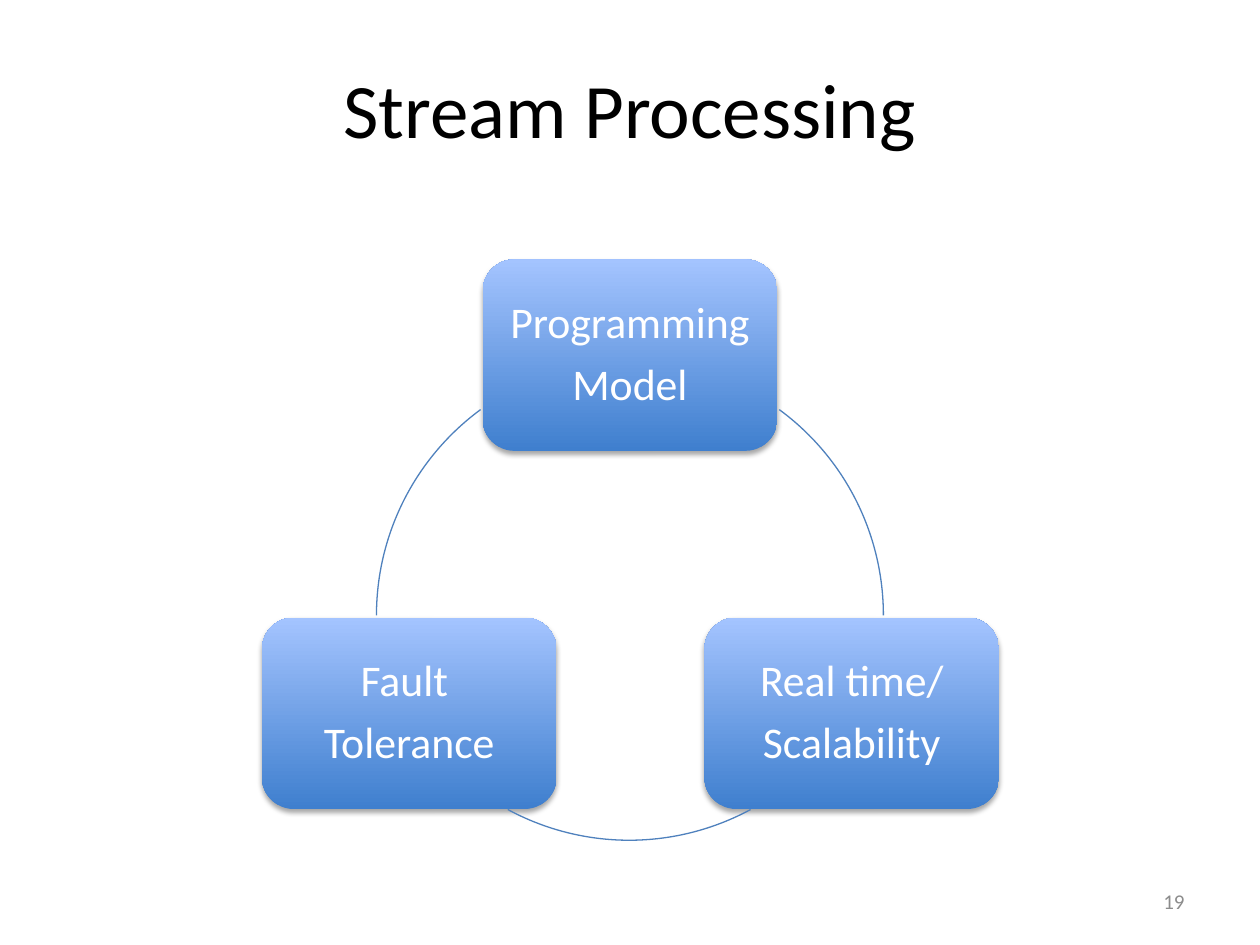
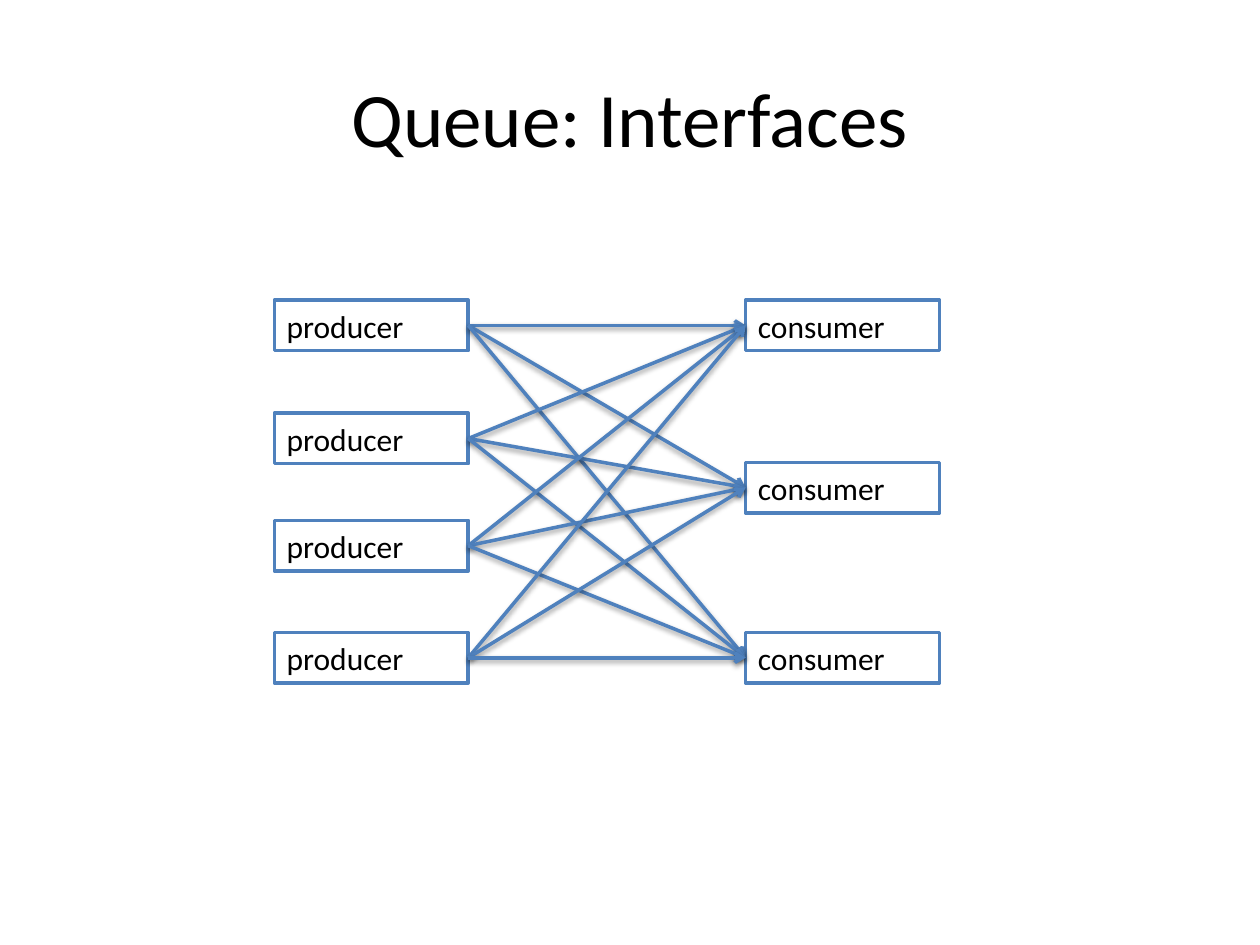
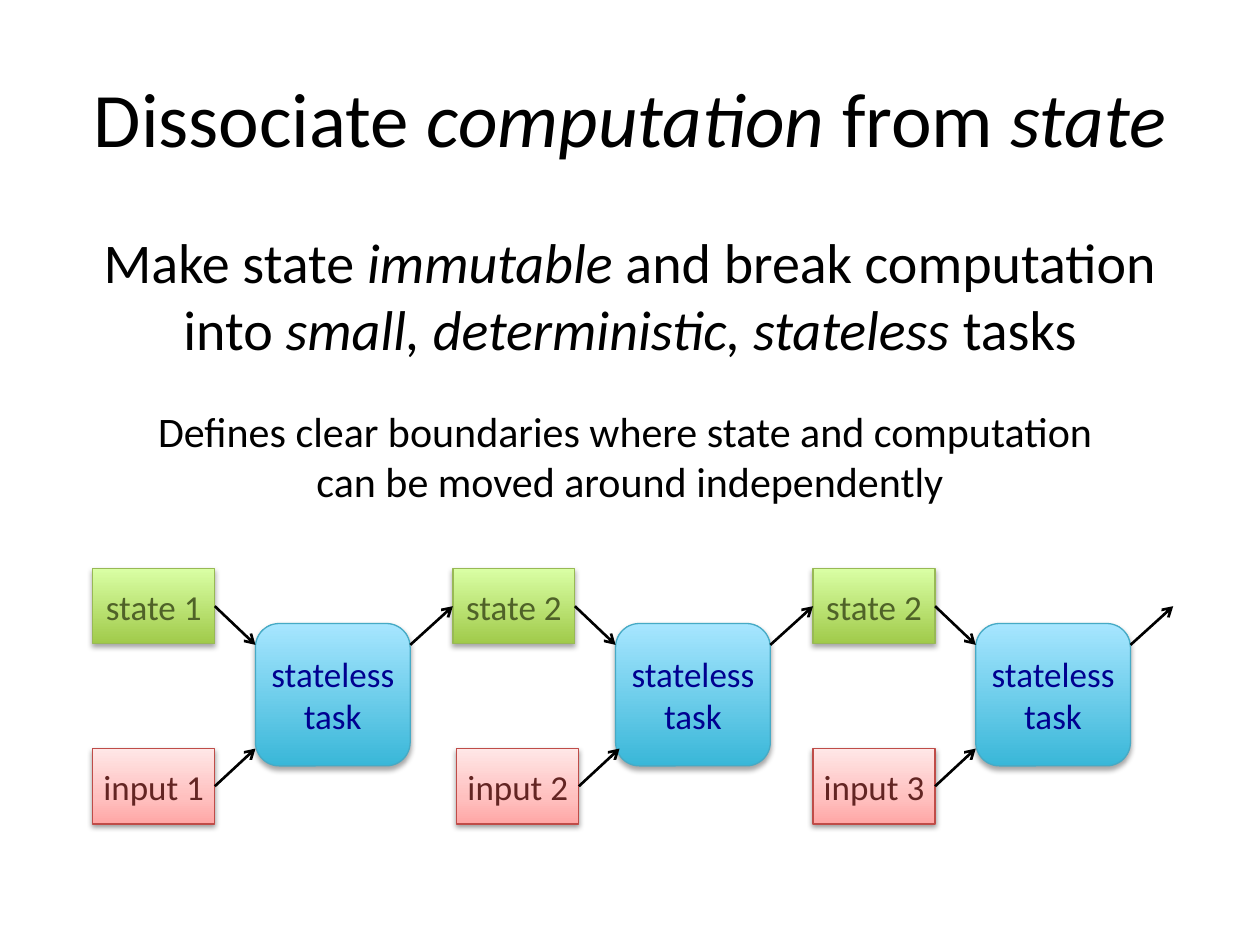
from dataclasses import dataclass
from itertools import product
from typing import NamedTuple, Optional

from lxml.etree import SubElement
from pptx import Presentation
from pptx.dml.color import RGBColor
from pptx.enum.shapes import MSO_CONNECTOR, MSO_SHAPE
from pptx.enum.text import MSO_ANCHOR, PP_ALIGN
from pptx.oxml.ns import qn
from pptx.util import Cm, Pt


class Box(NamedTuple):
    """Left, top, width and height in centimetres."""
    x: float
    y: float
    w: float
    h: float


class Run(NamedTuple):
    text: str
    italic: bool = False


@dataclass(frozen=True)
class Para:
    runs: list[Run]
    size: float
    color: str
    align: PP_ALIGN = PP_ALIGN.CENTER
    before: float = 0
    after: float = 0
    spacing: float = 1.0


class Shadow(NamedTuple):
    alpha: int
    blur: float
    dist: float


@dataclass(frozen=True)
class Style:
    """Look of a box: preset, (position, colour) fill stops, outline, shadow, text."""
    preset: MSO_SHAPE
    stops: list[tuple[int, str]]
    text: str
    line: Optional[str] = None
    line_width: float = 0.75
    shadow: Optional[Shadow] = None


class Stage(NamedTuple):
    state: str
    input: str
    input_shift: float = 0


class Arc(NamedTuple):
    x: float
    y: float
    start: float
    end: float


@dataclass(frozen=True)
class Theme:
    font: str = "Calibri"
    black: str = "000000"
    white: str = "FFFFFF"
    blue: str = "4F81BD"
    grey: str = "8C8C8C"
    title: int = 44
    body: int = 32
    detail: int = 24
    node: int = 25
    label: int = 20
    queue: int = 18
    number: int = 12


THEME = Theme()
DEEP = Shadow(35, 3.1, 1.8)
SOFT = Shadow(38, 3.1, 1.6)

NODE = Style(MSO_SHAPE.ROUNDED_RECTANGLE, [(0, "3F7FCE"), (100, "A4C4FF")],
             THEME.white, shadow=DEEP)
QUEUE = Style(MSO_SHAPE.RECTANGLE, [(0, THEME.white)], THEME.black, THEME.blue, 2)
TASK = Style(MSO_SHAPE.ROUNDED_RECTANGLE, [(0, "39B7D8"), (100, "A7E6FF")],
             "000090", "46AAC5", shadow=DEEP)
STATE = Style(MSO_SHAPE.RECTANGLE, [(0, "A0CA4A"), (100, "DAFFA5")],
              "4F6228", "98B955", shadow=DEEP)
INPUT = Style(MSO_SHAPE.RECTANGLE, [(0, "FFA6A5"), (35, "FFC0BF"), (100, "FFE7E7")],
              "632523", "BF4C48", shadow=SOFT)

LEFT, RIGHT = 1, 3


def rgb(color: str) -> RGBColor:
    return RGBColor.from_string(color)


def cm(*values: float) -> list[Cm]:
    return [Cm(v) for v in values]


def write(tf, paras: list[Para], anchor=MSO_ANCHOR.TOP,
          inset_x: float = 0.25, inset_y: float = 0.13) -> None:
    tf.word_wrap = True
    tf.vertical_anchor = anchor
    tf.margin_left = tf.margin_right = Cm(inset_x)
    tf.margin_top = tf.margin_bottom = Cm(inset_y)
    for i, para in enumerate(paras):
        p = tf.add_paragraph() if i else tf.paragraphs[0]
        p.alignment = para.align
        p.line_spacing = para.spacing
        p.space_before, p.space_after = Pt(para.before), Pt(para.after)
        for run in para.runs:
            r = p.add_run()
            r.text = run.text
            r.font.name = THEME.font
            r.font.size = Pt(para.size)
            r.font.italic = run.italic
            r.font.color.rgb = rgb(para.color)


def add_text(slide, box: Box, paras: list[Para], anchor=MSO_ANCHOR.TOP) -> None:
    write(slide.shapes.add_textbox(*cm(*box)).text_frame, paras, anchor)


def set_shadow(sp, shadow: Optional[Shadow]) -> None:
    """Replace the theme shadow; call once fill and line are set."""
    effects = SubElement(sp._element.spPr, qn("a:effectLst"))
    if shadow:
        outer = SubElement(effects, qn("a:outerShdw"), blurRad=str(Pt(shadow.blur)),
                           dist=str(Pt(shadow.dist)), dir="5400000", rotWithShape="0")
        clr = SubElement(outer, qn("a:srgbClr"), val=THEME.black)
        SubElement(clr, qn("a:alpha"), val=str(shadow.alpha * 1000))


def set_fill(sp, stops: list[tuple[int, str]]) -> None:
    """Fill solid for one stop, else with a gradient rising from the bottom."""
    if len(stops) == 1:
        sp.fill.solid()
        sp.fill.fore_color.rgb = rgb(stops[0][1])
        return
    sp.fill.gradient()
    sp.fill.gradient_angle = 90
    gs_list = sp._element.spPr.find(".//" + qn("a:gsLst"))
    for gs in list(gs_list):
        gs_list.remove(gs)
    for position, color in stops:
        gs = SubElement(gs_list, qn("a:gs"), pos=str(position * 1000))
        SubElement(gs, qn("a:srgbClr"), val=color)


def add_box(slide, box: Box, style: Style):
    sp = slide.shapes.add_shape(style.preset, *cm(*box))
    set_fill(sp, style.stops)
    if style.line:
        sp.line.color.rgb = rgb(style.line)
        sp.line.width = Pt(style.line_width)
    else:
        sp.line.fill.background()
    set_shadow(sp, style.shadow)
    return sp


def add_label(slide, box: Box, style: Style, text: str):
    sp = add_box(slide, box, style)
    write(sp.text_frame, [Para([Run(text)], THEME.label, style.text)],
          MSO_ANCHOR.MIDDLE, inset_x=0)
    return sp


def add_arrow(slide, color: str, width: float, start=None, end=None,
              begin: tuple[float, float] = (0, 0), finish: tuple[float, float] = (0, 0),
              shadow: Optional[Shadow] = None) -> None:
    """Draw an arrow from start's right side (or begin) to end's left side (or finish)."""
    line = slide.shapes.add_connector(MSO_CONNECTOR.STRAIGHT, *cm(*begin, *finish))
    if start is not None:
        line.begin_connect(start, RIGHT)
    if end is not None:
        line.end_connect(end, LEFT)
    line.line.color.rgb = rgb(color)
    line.line.width = Pt(width)
    SubElement(line.line._get_or_add_ln(), qn("a:tailEnd"), type="arrow")
    set_shadow(line, shadow)


def add_slide(prs, title: list[Run], top: float = 0.76):
    slide = prs.slides.add_slide(prs.slide_layouts[6])
    add_text(slide, Box(1.27, top, 22.86, 3.18),
             [Para(title, THEME.title, THEME.black)], MSO_ANCHOR.MIDDLE)
    return slide


def stream_processing(prs) -> None:
    slide = add_slide(prs, [Run("Stream Processing")], top=0.58)
    nodes = [(9.73, 5.23, ["Programming", "Model"]),
             (14.2, 12.45, ["Real time/", "Scalability"]),
             (5.28, 12.45, ["Fault ", "Tolerance"])]
    for x, y, lines in nodes:
        sp = add_box(slide, Box(x, y, 5.94, 3.86), NODE)
        write(sp.text_frame,
              [Para([Run(text)], THEME.node, NODE.text, after=8.75, spacing=0.9)
               for text in lines], MSO_ANCHOR.MIDDLE, inset_y=0.25)

    diameter = 10.29
    arcs = [Arc(7.52, 7.26, 306.3, 0), Arc(7.54, 6.65, 61.6, 118.4),
            Arc(7.59, 7.26, 180, 233.7)]
    for arc in arcs:
        sp = slide.shapes.add_shape(MSO_SHAPE.ARC, *cm(arc.x, arc.y, diameter, diameter))
        # Angles are stored in 60000ths of a degree, adjustments in 100000ths.
        sp.adjustments[0], sp.adjustments[1] = arc.start * 0.6, arc.end * 0.6
        sp.fill.background()
        sp.line.color.rgb = rgb(THEME.blue)
        sp.line.width = Pt(0.75)
        set_shadow(sp, None)

    add_text(slide, Box(18.21, 17.65, 5.92, 1.02),
             [Para([Run("19")], THEME.number, THEME.grey, PP_ALIGN.RIGHT)],
             MSO_ANCHOR.MIDDLE)


def queue_interfaces(prs) -> None:
    slide = add_slide(prs, [Run("Queue: Interfaces")])

    def column(text: str, x: float, tops: list[float]) -> list:
        boxes = [add_box(slide, Box(x, y, 3.91, 1.02), QUEUE) for y in tops]
        for sp in boxes:
            write(sp.text_frame,
                  [Para([Run(text)], THEME.queue, QUEUE.text, PP_ALIGN.LEFT)])
        return boxes

    producers = column("producer", 5.53, [6.05, 8.33, 10.49, 12.75])
    consumers = column("consumer", 15.03, [6.05, 9.32, 12.75])
    for producer, consumer in product(producers, consumers):
        add_arrow(slide, THEME.blue, 2, producer, consumer, shadow=SOFT)


def dissociate_state(prs) -> None:
    slide = add_slide(prs, [Run("Dissociate "), Run("computation", True),
                            Run(" from "), Run("state", True)])
    add_text(slide, Box(1.27, 4.45, 22.86, 12.57), [
        Para([Run("Make state "), Run("immutable", True),
              Run(" and break computation into "),
              Run("small, deterministic, stateless ", True), Run("tasks")],
             THEME.body, THEME.black),
        Para([Run("Defines clear boundaries where state and computation ")],
             THEME.detail, THEME.black, before=25),
        Para([Run("can be moved around independently")], THEME.detail, THEME.black),
    ])

    stages = [Stage("state 1", "input 1"), Stage("state 2", "input 2", 0.08),
              Stage("state 2", "input 3")]
    pitch, first_x, task_dx = 7.26, 1.87, 3.28
    state_y, task_y, input_y = 11.46, 12.57, 15.09
    label_w, label_h, task_w, task_h = 2.46, 1.52, 3.12, 2.87
    join_y = 13

    exit_point = None
    for i, stage in enumerate(stages):
        x = first_x + i * pitch
        task_x = x + task_dx
        add_label(slide, Box(task_x, task_y, task_w, task_h), TASK, "stateless task")
        state = add_label(slide, Box(x, state_y, label_w, label_h), STATE, stage.state)
        source = add_label(slide, Box(x + stage.input_shift, input_y, label_w, label_h),
                           INPUT, stage.input)
        add_arrow(slide, THEME.black, 1.5, source,
                  finish=(task_x + stage.input_shift, input_y))
        add_arrow(slide, THEME.black, 1.5, state, finish=(task_x, join_y))
        if exit_point:
            add_arrow(slide, THEME.black, 1.5, end=state, begin=exit_point)
        exit_point = (task_x + task_w, join_y)
    add_arrow(slide, THEME.black, 1.5, begin=exit_point,
              finish=(first_x + len(stages) * pitch, state_y + label_h / 2))


def main() -> None:
    prs = Presentation()
    prs.slide_width, prs.slide_height = cm(25.4, 19.05)
    stream_processing(prs)
    queue_interfaces(prs)
    dissociate_state(prs)
    prs.save("out.pptx")


if __name__ == "__main__":
    main()
